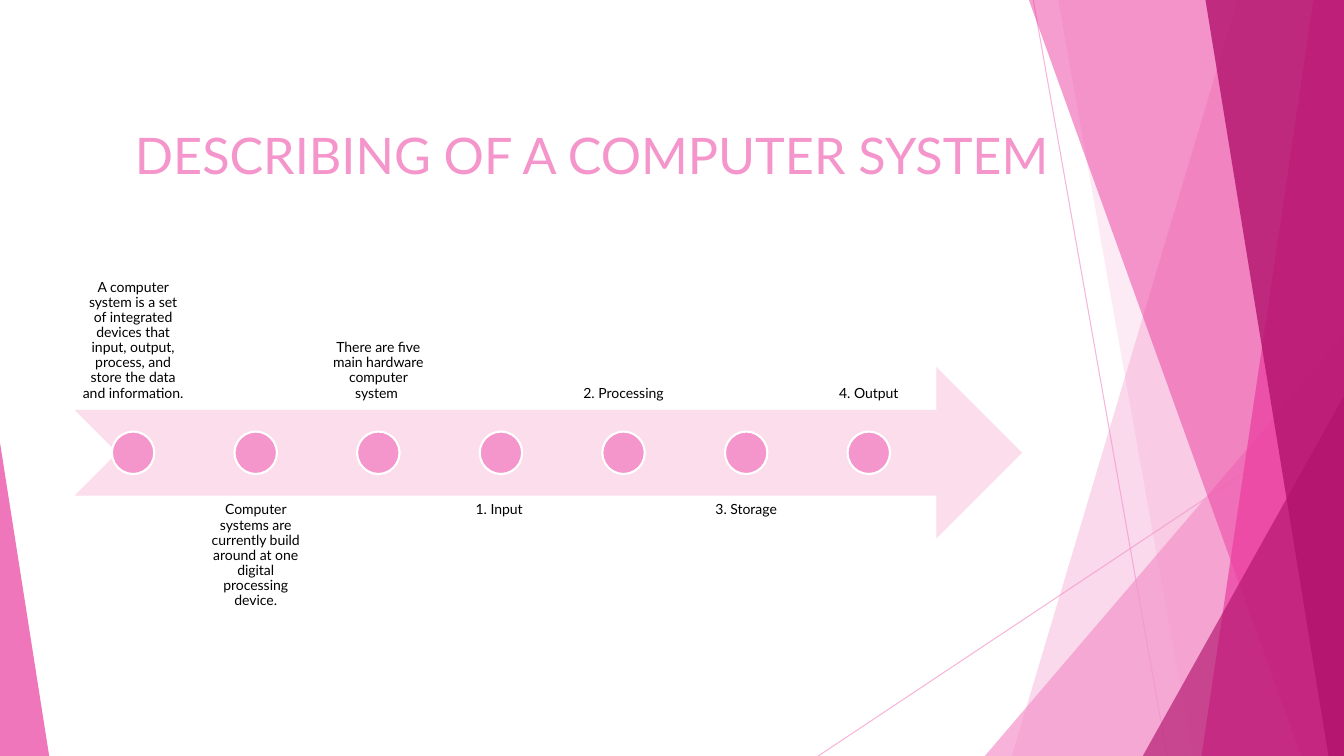
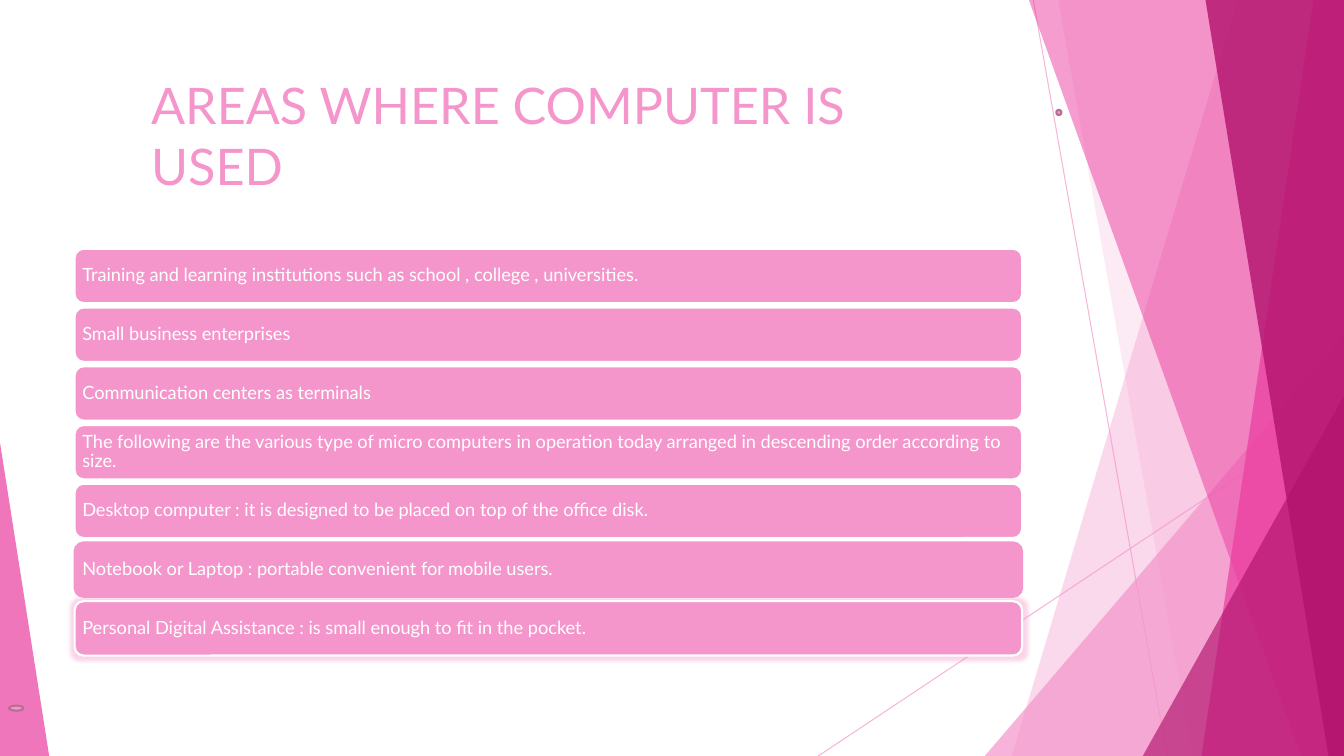
from dataclasses import dataclass
from typing import Optional

from lxml.etree import SubElement
from pptx import Presentation
from pptx.dml.color import RGBColor
from pptx.enum.shapes import MSO_CONNECTOR, MSO_SHAPE as Preset
from pptx.enum.text import MSO_ANCHOR as Anchor, PP_ALIGN as Align
from pptx.oxml.ns import qn
from pptx.util import Cm, Pt

# Shared look
WIDTH, HEIGHT = 33.87, 19.05
FONT = "Lato"
PINK = RGBColor(0xF4, 0x96, 0xCB)
HOT_PINK = RGBColor(0xEB, 0x3D, 0x9F)
MAGENTA = RGBColor(0xB2, 0x13, 0x6D)
PALE_PINK = RGBColor(0xFB, 0xDD, 0xEC)
MAUVE = RGBColor(0xB5, 0x6F, 0x96)
WHITE = RGBColor(0xFF, 0xFF, 0xFF)
BLACK = RGBColor(0, 0, 0)


@dataclass(frozen=True)
class Box:
    left: float
    top: float
    width: float
    height: float

    def lengths(self) -> tuple:
        return Cm(self.left), Cm(self.top), Cm(self.width), Cm(self.height)


@dataclass(frozen=True)
class Band:
    """A facet reaching from a slanted left side to the right slide edge."""
    top_x: float
    bottom_x: float
    color: RGBColor
    opacity: int


@dataclass(frozen=True)
class Wedge:
    """A right-angled triangle; apex 0 is its left side, 1 its right side."""
    box: Box
    apex: int
    color: RGBColor
    opacity: int


@dataclass(frozen=True)
class Bar:
    text: str
    outline: RGBColor = WHITE
    glow: bool = False


# Backdrop, from back to front
RAYS = [(26.04, 0, 29.41, HEIGHT), (WIDTH, 10.24, 20.62, HEIGHT)]
FACETS = [
    Band(31.19, 25.5, PINK, 36),
    Band(26.67, 30.05, PINK, 20),
    Wedge(Box(24.82, 8.46, 9.05, 10.59), 1, PINK, 72),
    Band(25.93, 32.79, HOT_PINK, 50),
    Band(33.1, 30.28, HOT_PINK, 70),
    Band(30.38, 33.48, MAGENTA, 80),
    Wedge(Box(28.8, 9.98, 5.07, 9.07), 1, MAGENTA, 66),
    Wedge(Box(0, 11.15, 1.24, 7.9), 0, HOT_PINK, 70),
]

# Slide content
ARROW = Box(1.88, 9.25, 23.88, 4.32)
STEP_PITCH, STEP_WIDTH, DOT_SIZE = 3.09, 2.95, 1.07
STEP_TOPS = (5.99, 12.47)
STEPS = [
    "A computer system is a set of integrated devices that input, output, "
    "process, and store the data and information.",
    "Computer systems are currently build around at one digital processing device.",
    "There are five main hardware computer system ",
    "1. Input ",
    "2. Processing",
    "3. Storage",
    "4. Output",
]
BAR_TOP, BAR_HEIGHT, BAR_PITCH = 6.27, 1.37, 1.48
BARS = [
    Bar("Training and learning institutions such as school , college , universities."),
    Bar("Small business enterprises"),
    Bar("Communication centers as terminals"),
    Bar("The following are the various type of micro computers in operation today "
        "arranged in descending order according to size."),
    Bar("Desktop computer : it is designed to be placed on top of the office disk."),
    Bar("Notebook or Laptop : portable convenient for mobile users.", outline=PINK),
    Bar("Personal Digital Assistance : is small enough to fit in the pocket.", glow=True),
]
RINGS = [Box(0.23, 17.78, 0.36, 0.13), Box(26.62, 2.77, 0.13, 0.13)]


# Drawing helpers
def set_opacity(element, percent: int) -> None:
    for color in element.iter(qn("a:srgbClr")):
        SubElement(color, qn("a:alpha"), val=str(percent * 1000))


def paint(shape, fill: RGBColor, outline: Optional[RGBColor] = None,
          opacity: int = 100) -> None:
    shape.shadow.inherit = False
    shape.fill.solid()
    shape.fill.fore_color.rgb = fill
    if outline is None:
        shape.line.fill.background()
    else:
        shape.line.color.rgb = outline
        shape.line.width = Pt(1.5)
    if opacity < 100:
        set_opacity(shape._element.spPr, opacity)


def add_preset(slide, preset: Preset, box: Box, fill: RGBColor,
               outline: Optional[RGBColor] = None):
    shape = slide.shapes.add_shape(preset, *box.lengths())
    paint(shape, fill, outline)
    return shape


def add_glow(shape) -> None:
    effects = shape._element.spPr.find(qn("a:effectLst"))
    glow = SubElement(effects, qn("a:glow"), rad=str(Pt(5)))
    color = SubElement(glow, qn("a:srgbClr"), val=str(PINK))
    SubElement(color, qn("a:alpha"), val="40000")


def write_text(shape, text: str, *, size: float, color: RGBColor,
               align: Align = Align.LEFT, anchor: Anchor = Anchor.TOP,
               inset: tuple = (0.25, 0.13), spacing: float = 1.0) -> None:
    frame = shape.text_frame
    frame.word_wrap = True
    frame.vertical_anchor = anchor
    frame.margin_left = frame.margin_right = Cm(inset[0])
    frame.margin_top = frame.margin_bottom = Cm(inset[1])
    paragraph = frame.paragraphs[0]
    paragraph.alignment = align
    paragraph.line_spacing = spacing
    run = paragraph.add_run()
    run.text = text
    run.font.name = FONT
    run.font.size = Pt(size)
    run.font.color.rgb = color


def add_ray(slide, start_x: float, start_y: float, end_x: float, end_y: float) -> None:
    ray = slide.shapes.add_connector(
        MSO_CONNECTOR.STRAIGHT, Cm(start_x), Cm(start_y), Cm(end_x), Cm(end_y))
    ray.line.color.rgb = PINK
    ray.line.width = Pt(0.75)
    properties = ray._element.spPr
    set_opacity(properties, 70)
    SubElement(properties, qn("a:effectLst"))


def add_band(slide, band: Band) -> None:
    builder = slide.shapes.build_freeform(Cm(band.top_x), 0)
    corners = [(WIDTH, 0), (WIDTH, HEIGHT), (band.bottom_x, HEIGHT)]
    builder.add_line_segments([(Cm(x), Cm(y)) for x, y in corners], close=True)
    paint(builder.convert_to_shape(), band.color, opacity=band.opacity)


def add_wedge(slide, wedge: Wedge) -> None:
    shape = slide.shapes.add_shape(Preset.ISOSCELES_TRIANGLE, *wedge.box.lengths())
    shape.adjustments[0] = wedge.apex
    paint(shape, wedge.color, opacity=wedge.opacity)


def add_titled_slide(presentation, title: str, box: Box):
    slide = presentation.slides.add_slide(presentation.slide_layouts[6])
    for ray in RAYS:
        add_ray(slide, *ray)
    for facet in FACETS:
        if isinstance(facet, Band):
            add_band(slide, facet)
        else:
            add_wedge(slide, facet)
    write_text(slide.shapes.add_textbox(*box.lengths()), title, size=36, color=PINK)
    return slide


# Slides
def add_system_slide(presentation) -> None:
    slide = add_titled_slide(presentation, "DESCRIBING OF A COMPUTER SYSTEM",
                             Box(3.15, 3, 26.67, 2.11))
    add_preset(slide, Preset.NOTCHED_RIGHT_ARROW, ARROW, PALE_PINK)
    dot_top = ARROW.top + (ARROW.height - DOT_SIZE) / 2
    for index, text in enumerate(STEPS):
        below = index % 2
        left = ARROW.left + index * STEP_PITCH
        box = Box(left, STEP_TOPS[below], STEP_WIDTH, ARROW.height)
        write_text(slide.shapes.add_textbox(*box.lengths()), text, size=10, color=BLACK,
                   align=Align.CENTER, anchor=Anchor.TOP if below else Anchor.BOTTOM,
                   inset=(0.2, 0.2), spacing=0.9)
        dot_left = left + (STEP_WIDTH - DOT_SIZE) / 2
        add_preset(slide, Preset.OVAL, Box(dot_left, dot_top, DOT_SIZE, DOT_SIZE),
                   PINK, WHITE)


def add_areas_slide(presentation) -> None:
    slide = add_titled_slide(presentation, "AREAS WHERE COMPUTER IS USED",
                             Box(3.56, 1.75, 19.81, 3.33))
    for index, bar in enumerate(BARS):
        box = Box(ARROW.left, BAR_TOP + index * BAR_PITCH, ARROW.width, BAR_HEIGHT)
        shape = add_preset(slide, Preset.ROUNDED_RECTANGLE, box, PINK, bar.outline)
        write_text(shape, bar.text, size=13, color=WHITE, anchor=Anchor.MIDDLE,
                   inset=(0.13, 0.13), spacing=0.9)
        if bar.glow:
            add_glow(shape)
    for ring in RINGS:
        add_preset(slide, Preset.OVAL, ring, PINK, MAUVE)


def main() -> None:
    presentation = Presentation()
    presentation.slide_width, presentation.slide_height = Cm(WIDTH), Cm(HEIGHT)
    add_system_slide(presentation)
    add_areas_slide(presentation)
    presentation.save("out.pptx")


if __name__ == "__main__":
    main()
